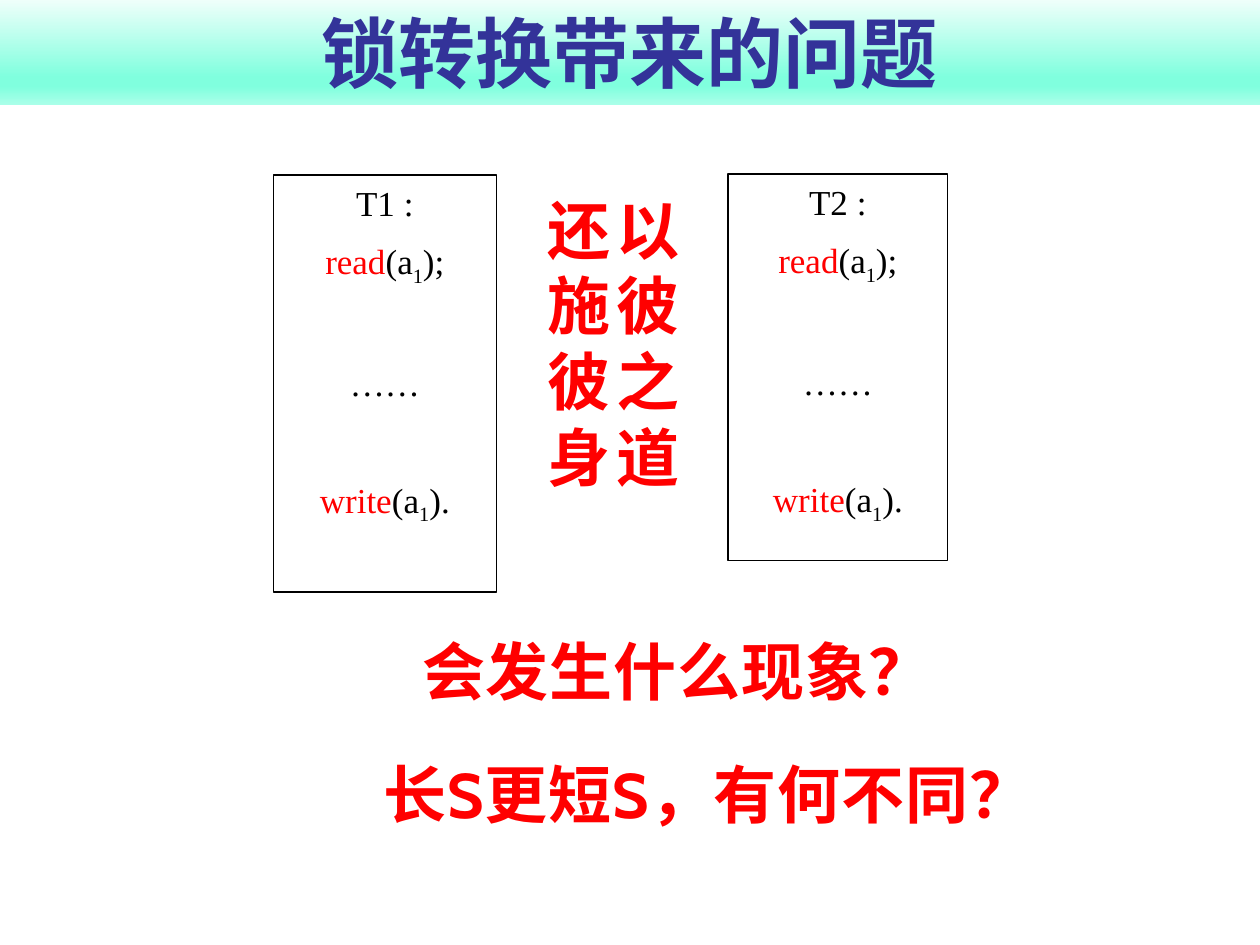
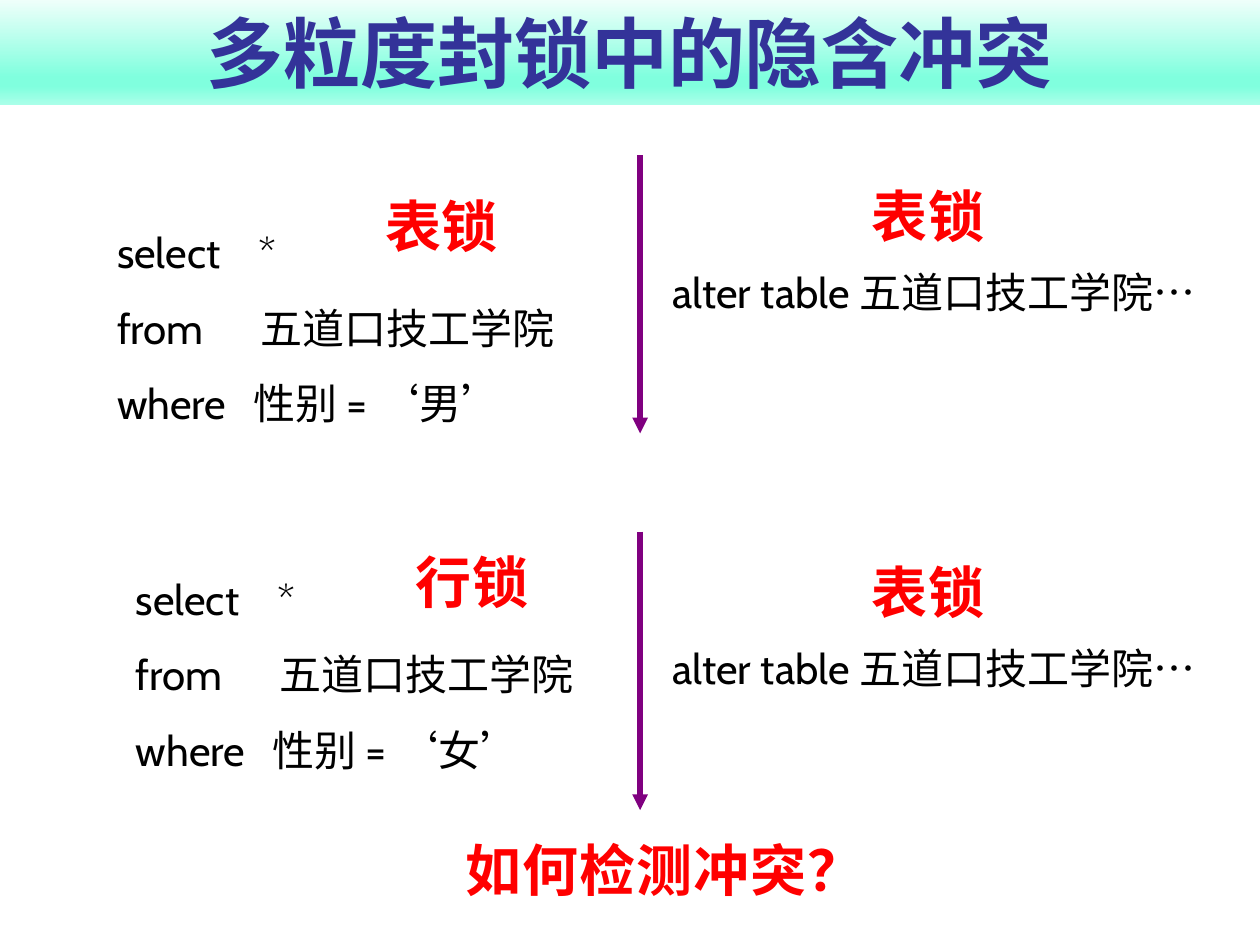
from dataclasses import dataclass
from lxml import etree
from pptx import Presentation
from pptx.dml.color import RGBColor
from pptx.enum.shapes import MSO_CONNECTOR, MSO_SHAPE
from pptx.enum.text import MSO_ANCHOR, MSO_AUTO_SIZE, PP_ALIGN
from pptx.oxml.ns import qn
from pptx.util import Pt

RECT = MSO_SHAPE.RECTANGLE
LINE = MSO_CONNECTOR.STRAIGHT
TOP, BASE = MSO_ANCHOR.TOP, MSO_ANCHOR.BOTTOM
LEFT, MID = PP_ALIGN.LEFT, PP_ALIGN.CENTER
GROW = MSO_AUTO_SIZE.SHAPE_TO_FIT_TEXT


@dataclass(frozen=True)
class Theme:
    sans: str = "Cabin"
    serif: str = "Times New Roman"
    ink: str = "000000"
    paper: str = "FFFFFF"
    red: str = "FF0000"
    navy: str = "333399"
    plum: str = "800080"
    band: tuple = ((0, "F1FFFB"), (74, "80FFDE"), (83, "80FFDE"), (100, "AAFFE9"))
    title: int = 44
    call: int = 36
    label: int = 32
    code: int = 24
    step: int = 20


T = Theme()
WIDE, HIGH = 720, 540
GAP, SKIP = 4.6, 38

TITLES = ("锁转换带来的问题", "多粒度封锁中的隐含冲突")
TASKS = [
    ("T1 :", (156.1, 100, 127.6, 238.4)),
    ("T2 :", (416, 99.5, 125.5, 221)),
]
STEPS = [("read", ");", GAP), ("", "……", SKIP), ("write", ").", SKIP)]
MOTTO = [("以彼之道", 344.9), ("还施彼身", 305.3)]
ASKS = [
    ("会发生什么现象？", (219.6, 357.8, 334.8, 51.1)),
    ("长S更短S，有何不同？", (194.4, 428.4, 384.5, 51.1)),
]

QUERY = [("select", 81, "*"), ("from", 82, "五道口技工学院"), ("where", 78, "性别 = ‘{}’")]
ALTER = "alter table 五道口技工学院…"
CASES = [
    {"top": 88.6, "sex": "男", "query": (59.8, 111.6), "lock": ("表锁", 212.4, 105.8), "peer": 100},
    {"top": 303.8, "sex": "女", "query": (70.6, 309.6), "lock": ("行锁", 229.7, 309.6), "peer": 314.8},
]
FINAL = "如何检测冲突？"


def tint(code):
    return RGBColor.from_string(code)


def say(para, text, size, color=T.ink, face=T.sans, bold=False, space=0, drop=0):
    run = para.add_run()
    run.text = text
    font = run.font
    font.name, font.size, font.bold = face, Pt(size), bold
    font.color.rgb = tint(color)
    props = run._r.get_or_add_rPr()
    if space:
        props.set("spc", str(int(space * 100)))
    if drop:
        props.set("baseline", str(-drop * 1000))


def paras(frame, count):
    return [frame.paragraphs[0]] + [frame.add_paragraph() for _ in range(count - 1)]


def panel(slide, area):
    shape = slide.shapes.add_shape(RECT, *map(Pt, area))
    shape.shadow.inherit = False
    shape.text_frame.word_wrap = True
    return shape


def box(slide, area, wrap=True):
    frame = slide.shapes.add_textbox(*map(Pt, area)).text_frame
    frame.word_wrap = wrap
    frame.auto_size = GROW
    return frame


def shout(slide, lines, area, size, wrap=False):
    frame = box(slide, area, wrap)
    for para, line in zip(paras(frame, len(lines)), lines):
        para.alignment = MID
        say(para, line, size, T.red, bold=True, space=0.5)


def header(slide, text):
    band = panel(slide, (0, -0.7, WIDE, 60.5))
    band.line.fill.background()
    band.fill.gradient()
    band.fill.gradient_angle = 270
    stops = band._element.spPr.find(".//" + qn("a:gsLst"))
    for old in list(stops):
        stops.remove(old)
    for spot, color in T.band:
        stop = etree.SubElement(stops, qn("a:gs"), pos=str(spot * 1000))
        etree.SubElement(stop, qn("a:srgbClr"), val=color)
    frame = band.text_frame
    frame.vertical_anchor = BASE
    para = frame.paragraphs[0]
    para.alignment = MID
    say(para, text, T.title, T.navy, bold=True)


def task(slide, name, area):
    card = panel(slide, area)
    card.fill.solid()
    card.fill.fore_color.rgb = tint(T.paper)
    card.line.color.rgb = tint(T.ink)
    card.line.width = Pt(0.75)
    frame = card.text_frame
    frame.vertical_anchor = TOP
    head, *rest = paras(frame, len(STEPS) + 1)
    say(head, name, T.step, face=T.serif)
    for para, (verb, tail, before) in zip(rest, STEPS):
        para.space_before = Pt(before)
        if verb:
            say(para, verb, T.step, T.red, T.serif)
            say(para, "(a", T.step, face=T.serif)
            say(para, "1", T.step, face=T.serif, drop=25)
        say(para, tail, T.step, face=T.serif)
    for para in frame.paragraphs:
        para.alignment = MID
        para.space_after = Pt(GAP)


def query(slide, spot, sex):
    frame = box(slide, (*spot, 277.9, 138.2))
    for para, (word, stop, rest) in zip(paras(frame, len(QUERY)), QUERY):
        para.alignment = LEFT
        para.line_spacing = 1.5
        tabs = etree.SubElement(para._p.get_or_add_pPr(), qn("a:tabLst"))
        etree.SubElement(tabs, qn("a:tab"), pos=str(Pt(stop)), algn="l")
        say(para, word + "\t" + rest.format(sex), T.code)


def arrow(slide, left, top, drop):
    line = slide.shapes.add_connector(LINE, Pt(left), Pt(top), Pt(left), Pt(top + drop))
    line.line.color.rgb = tint(T.plum)
    line.line.width = Pt(3)
    etree.SubElement(line.line._get_or_add_ln(), qn("a:tailEnd"), type="triangle")
    etree.SubElement(line._element.spPr, qn("a:effectLst"))


def swap(slide):
    for name, area in TASKS:
        task(slide, name, area)
    for text, left in MOTTO:
        shout(slide, text, (left, 105.8, 51.1, 181.4), T.call)
    for text, area in ASKS:
        shout(slide, [text], area, T.call, True)


def clash(slide):
    for case in CASES:
        query(slide, case["query"], case["sex"])
        arrow(slide, 365.8, case["top"], 159.1)
        para = box(slide, (377.3, case["peer"] + 34.2, 323.3, 51.1)).paragraphs[0]
        para.line_spacing = 1.5
        say(para, ALTER, T.code)
        text, left, top = case["lock"]
        for word, x, y in ((text, left, top), ("表锁", 490.3, case["peer"])):
            shout(slide, [word], (x, y, 79.9, 46.1), T.label)
    shout(slide, [FINAL], (257.8, 473.8, 244.1, 46.1), T.label)


def main():
    deck = Presentation()
    deck.slide_width, deck.slide_height = Pt(WIDE), Pt(HIGH)
    for title, draw in zip(TITLES, (swap, clash)):
        slide = deck.slides.add_slide(deck.slide_layouts[6])
        header(slide, title)
        draw(slide)
    deck.save("out.pptx")


if __name__ == "__main__":
    main()
